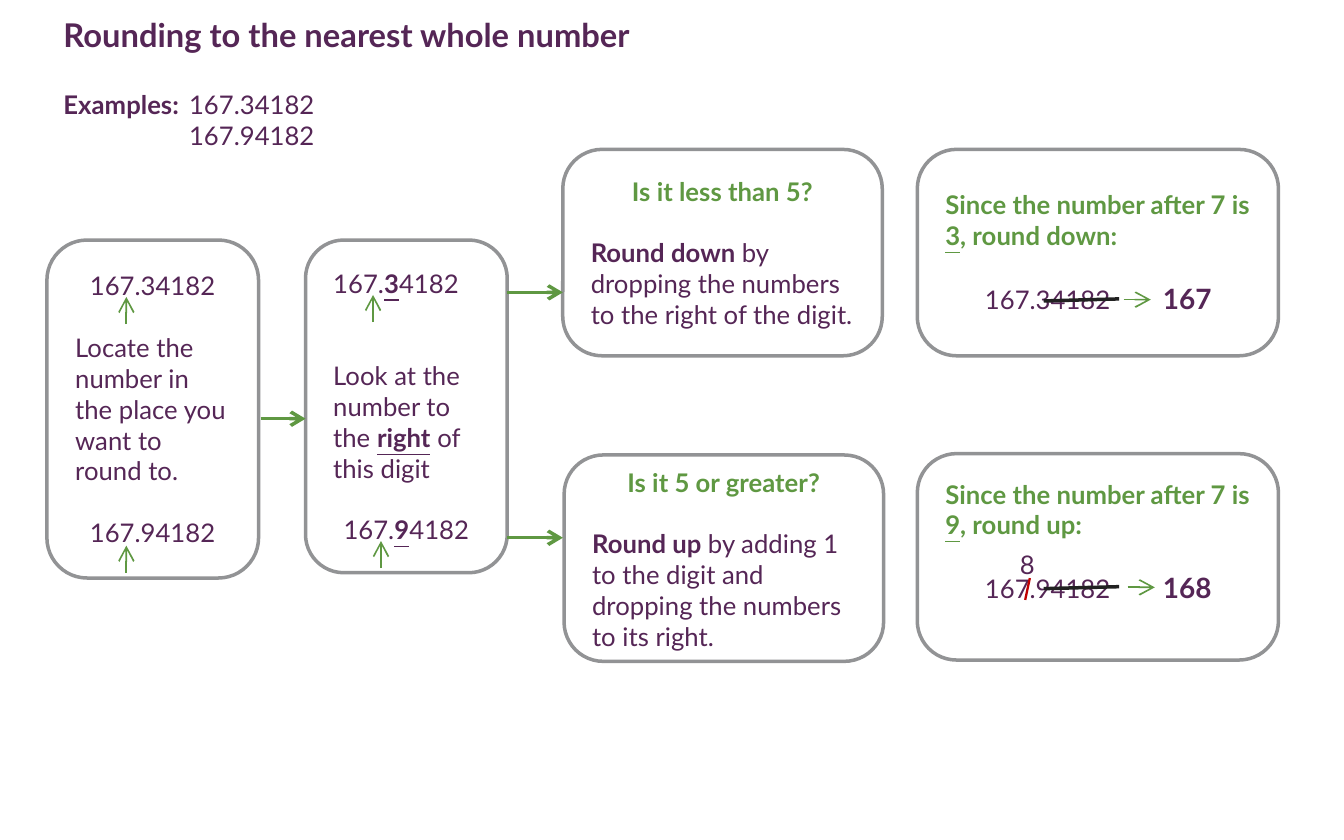
from lxml import etree
from pptx import Presentation
from pptx.dml.color import RGBColor
from pptx.enum.shapes import MSO_CONNECTOR as CONN, MSO_SHAPE as SHAPE
from pptx.enum.text import MSO_ANCHOR as ANCHOR, PP_ALIGN as ALIGN
from pptx.oxml.ns import qn
from pptx.util import Cm, Pt

PURPLE = RGBColor(0x55, 0x26, 0x56)
GREEN = RGBColor(0x5F, 0x98, 0x42)
GRAY = RGBColor(0x92, 0x93, 0x95)
BLACK = RGBColor(0x21, 0x21, 0x21)
RED = RGBColor(0xC0, 0x00, 0x00)
WHITE = RGBColor(0xFF, 0xFF, 0xFF)
LINE_HEIGHT = 13.2


def add_text(p, text, size=11, color=PURPLE, bold=False, underline=False):
    """Add a formatted run to a paragraph."""
    r = p.add_run()
    r.text = text
    r.font.name = "Lato"
    r.font.size = Pt(size)
    r.font.color.rgb = color
    r.font.bold = bold
    r.font.underline = underline


def add_par(tf, gap=0, align=ALIGN.LEFT, left=0, hang=0):
    """Start a paragraph after a gap in lines, with an optional hanging indent."""
    p = tf.paragraphs[0] if not tf.paragraphs[0].runs else tf.add_paragraph()
    p.alignment = align
    if gap:
        p.space_before = Pt(gap * LINE_HEIGHT)
    if left:
        pPr = p._p.get_or_add_pPr()
        pPr.set("marL", str(Cm(left)))
        pPr.set("indent", str(-Cm(hang)))
    return p


def add_box(slide, x, y, w, h):
    """Add a wrapping text box and return its text frame."""
    tf = slide.shapes.add_textbox(Cm(x), Cm(y), Cm(w), Cm(h)).text_frame
    tf.word_wrap = True
    return tf


def add_card(slide, x, y, w, h, top):
    """Add a rounded card with a top inset and return its text frame."""
    sp = slide.shapes.add_shape(SHAPE.ROUNDED_RECTANGLE, Cm(x), Cm(y), Cm(w), Cm(h))
    sp.adjustments[0] = 0.19
    sp.shadow.inherit = False
    sp.fill.solid()
    sp.fill.fore_color.rgb = WHITE
    sp.line.color.rgb = GRAY
    sp.line.width = Pt(1.5)
    tf = sp.text_frame
    tf.word_wrap = True
    tf.vertical_anchor = ANCHOR.TOP
    tf.margin_left = tf.margin_right = Cm(0.25)
    tf.margin_top, tf.margin_bottom = Cm(top), 0
    return tf


def add_line(slide, x1, y1, x2, y2, color=GREEN, width=0.75, arrow=True):
    """Draw a straight line, with an arrowhead at its end if asked."""
    line = slide.shapes.add_connector(CONN.STRAIGHT, Cm(x1), Cm(y1), Cm(x2), Cm(y2))
    line.line.color.rgb = color
    line.line.width = Pt(width)
    if arrow:
        etree.SubElement(line.line._get_or_add_ln(), qn("a:tailEnd"), type="arrow")
    etree.SubElement(line._element.spPr, qn("a:effectLst"))


def add_pointer(slide, x, y):
    """Draw a short arrow upwards, ending under a digit."""
    add_line(slide, x, y + 0.41, x, y)


def header(slide, x, y, w):
    """Place the title and the two example numbers."""
    p = add_par(add_box(slide, x, y, w, 1.45))
    add_text(p, "Rounding to the nearest whole number", size=14, bold=True)
    p = add_par(add_box(slide, x, y + 1.12, 4.93, 1.19), left=1.9, hang=1.9)
    add_text(p, "Examples:\t", bold=True)
    add_text(p, "167.34182 167.94182")


def locate_card(slide, x, y, w, h):
    """Place the step that finds the digit to round to."""
    tf = add_card(slide, x, y, w, h, 0.28)
    add_text(add_par(tf, align=ALIGN.CENTER), "167.34182")
    add_text(add_par(tf, gap=1), "Locate the number in the place you want to round to.")
    add_text(add_par(tf, gap=1, align=ALIGN.CENTER), "167.94182")
    for dy in (0.86, 4.62):
        add_pointer(slide, x + 1.2, y + dy)


def look_card(slide, x, y, w, h):
    """Place the step that looks at the next digit."""
    tf = add_card(slide, x, y, w, h, 0.25)
    parts = [
        (0, ALIGN.LEFT, "167.", "3", "4182"),
        (2, ALIGN.LEFT, "Look at the number to the ", "right", " of this digit"),
        (1, ALIGN.CENTER, "167.", "9", "4182"),
    ]
    for gap, align, before, key, after in parts:
        p = add_par(tf, gap, align)
        add_text(p, before)
        add_text(p, key, bold=True, underline=True)
        add_text(p, after)
    add_pointer(slide, x + 1.02, y + 0.83)
    add_pointer(slide, x + 1.14, y + 4.55)


def rule_card(slide, x, y, w, h, top, question, action, how):
    """Place a question with the rule that answers it."""
    tf = add_card(slide, x, y, w, h, top)
    add_text(add_par(tf, align=ALIGN.CENTER), question, color=GREEN, bold=True)
    p = add_par(tf, gap=1)
    add_text(p, action, bold=True)
    add_text(p, how)


def result_card(slide, x, y, w, h, top, digit, direction, number, result, strike, arrow):
    """Place a worked example with its dropped digits struck out."""
    tf = add_card(slide, x, y, w, h, top)
    p = add_par(tf)
    add_text(p, "Since the number after 7 is ", color=GREEN, bold=True)
    add_text(p, digit, color=GREEN, bold=True, underline=True)
    add_text(p, f", round {direction}:", color=GREEN, bold=True)
    p = add_par(tf, gap=1, left=3.29, hang=2.69)
    add_text(p, f"{number}\t")
    add_text(p, result, size=12, bold=True)
    add_line(slide, x + 1.91, y + strike, x + 3.05, y + strike - 0.03,
             color=BLACK, width=1.5, arrow=False)
    add_line(slide, x + arrow, y + strike - 0.02, x + arrow + 0.41, y + strike - 0.02)


def carried_digit(slide, x, y):
    """Place the raised digit and the slash through the old one."""
    add_text(add_par(add_box(slide, x, y, 1.07, 0.74)), "8")
    add_line(slide, x + 0.4, y + 0.56, x + 0.33, y + 0.89, color=RED, width=1, arrow=False)


def main():
    """Build the slide and save it."""
    prs = Presentation()
    prs.slide_width, prs.slide_height = Cm(20.32), Cm(12.7)
    slide = prs.slides.add_slide(prs.slide_layouts[6])
    header(slide, 0.71, 0.1, 12.4)
    locate_card(slide, 0.71, 3.63, 3.2, 5.11)
    look_card(slide, 4.62, 3.63, 3.05, 5.03)
    rule_card(slide, 8.51, 2.26, 4.83, 3.12, 0.22, "Is it less than 5?", "Round down ",
              "by dropping the numbers to the right of the digit.")
    rule_card(slide, 8.53, 6.88, 4.83, 3.12, 0, "Is it 5 or greater?", "Round up ",
              "by adding 1 to the digit and dropping the numbers to its right.")
    result_card(slide, 13.87, 2.26, 5.46, 3.12, 0.43, "3", "down", "167.34182", "167", 2.29, 3.12)
    result_card(slide, 13.87, 6.86, 5.46, 3.12, 0.2, "9", "up", "167.94182", "168", 2.04, 3.18)
    carried_digit(slide, 15.17, 8.18)
    for x1, x2, y in ((3.94, 4.62, 6.33), (7.66, 8.51, 4.42), (7.67, 8.51, 8.13)):
        add_line(slide, x1, y, x2, y, width=1.5)
    prs.save("out.pptx")


if __name__ == "__main__":
    main()
